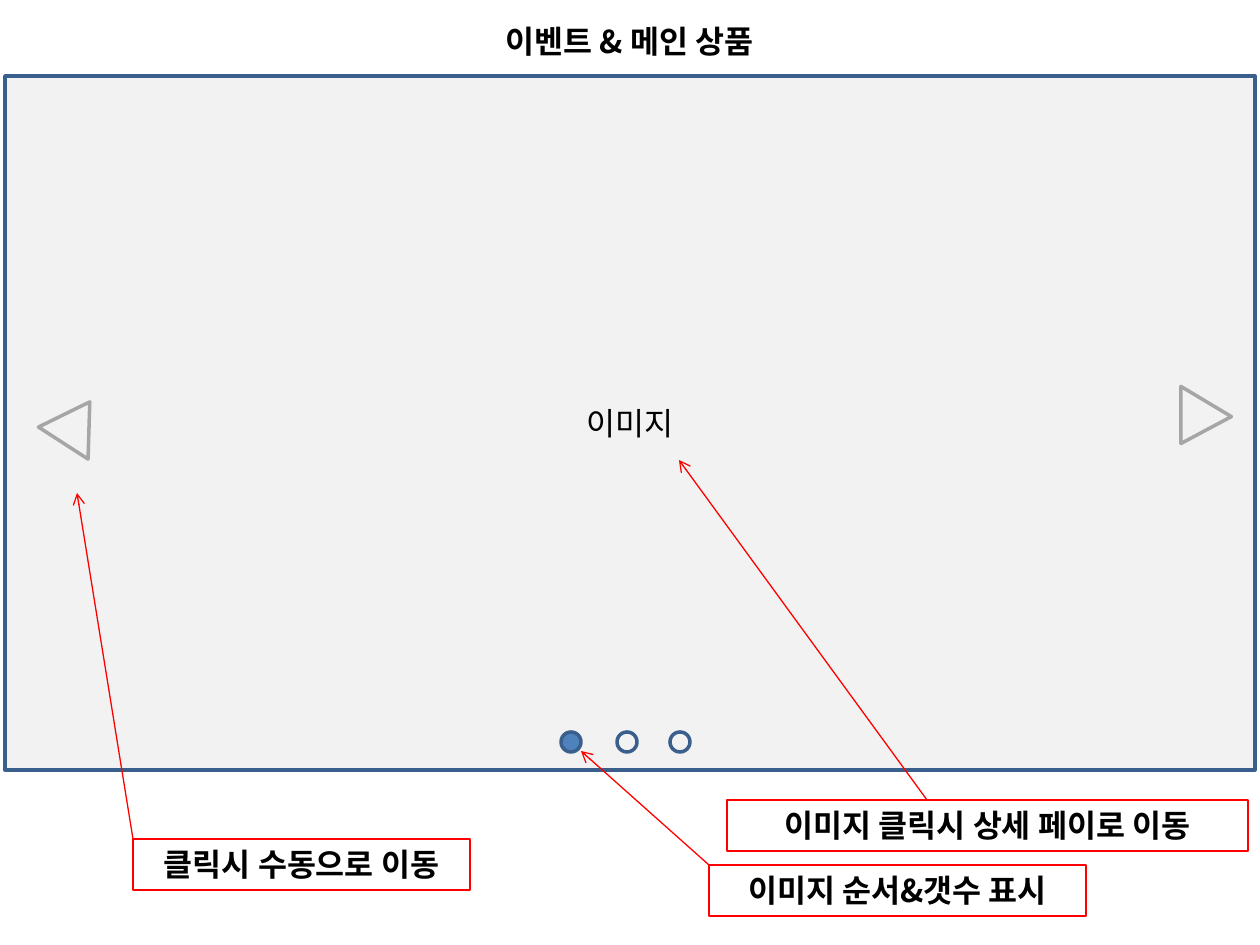
from lxml.etree import SubElement
from pptx import Presentation
from pptx.dml.color import RGBColor
from pptx.enum.shapes import MSO_CONNECTOR, MSO_SHAPE
from pptx.enum.text import MSO_ANCHOR, PP_ALIGN
from pptx.oxml.ns import qn
from pptx.util import Pt

EMU_PER_PX = 914400 / 126
FONT = "Noto Sans CJK KR"
BLACK = RGBColor(0x00, 0x00, 0x00)
LIGHT_GRAY = RGBColor(0xF2, 0xF2, 0xF2)
GRAY = RGBColor(0xA6, 0xA6, 0xA6)
BLUE = RGBColor(0x4F, 0x81, 0xBD)
DARK_BLUE = RGBColor(0x3A, 0x5F, 0x8C)
RED = RGBColor(0xFF, 0x00, 0x00)

# Boxes are left, top, width, height in px.
TITLE = ("이벤트 & 메인 상품", (312, 16, 635, 50))
BANNER = ("이미지", (5, 76, 1250, 694))

DOT_SIZE, DOT_TOP = 20, 732
DOTS = [(561, BLUE), (617, LIGHT_GRAY), (670, LIGHT_GRAY)]  # left, fill

ARROW_TOP, ARROW_WIDTH, ARROW_HEIGHT = 398, 59, 49
SLIDE_ARROWS = [(47, 32.8), (1164, 210.9)]  # left, rotation

# Text, box, pointer start, pointer end
CALLOUTS = [
    ("클릭시 수동으로 이동", (133, 839, 337, 51), (133, 839), (77, 493)),
    ("이미지 순서&갯수 표시", (709, 865, 377, 51), (709, 865), (581, 751)),
    ("이미지 클릭시 상세 페이로 이동", (727, 800, 521, 51), (927, 800), (679, 460)),
]


def px(value):
    return round(value * EMU_PER_PX)


def add_outlined_shape(slide, kind, box, fill, line_color, line_width):
    shape = slide.shapes.add_shape(kind, *map(px, box))
    shape.shadow.inherit = False
    if fill is None:
        shape.fill.background()
    else:
        shape.fill.solid()
        shape.fill.fore_color.rgb = fill
    shape.line.color.rgb = line_color
    shape.line.width = Pt(line_width)
    return shape


def write_text(shape, text, bold=True, anchor=MSO_ANCHOR.TOP):
    frame = shape.text_frame
    frame.word_wrap = True
    frame.vertical_anchor = anchor
    paragraph = frame.paragraphs[0]
    paragraph.alignment = PP_ALIGN.CENTER
    run = paragraph.add_run()
    run.text = text
    run.font.size = Pt(18)
    run.font.bold = bold
    run.font.color.rgb = BLACK
    run.font.name = FONT
    # Korean glyphs take the East Asian typeface.
    SubElement(run.font._element, qn("a:ea"), typeface=FONT)


def add_pointer(slide, start, end):
    connector = slide.shapes.add_connector(
        MSO_CONNECTOR.STRAIGHT, *map(px, start + end))
    connector.line.color.rgb = RED
    connector.line.width = Pt(0.75)
    SubElement(connector.line._get_or_add_ln(), qn("a:tailEnd"), type="arrow")
    SubElement(connector._element.spPr, qn("a:effectLst"))


def main():
    presentation = Presentation()
    presentation.slide_width = px(1260)
    presentation.slide_height = px(945)
    slide = presentation.slides.add_slide(presentation.slide_layouts[6])

    text, box = BANNER
    banner = add_outlined_shape(
        slide, MSO_SHAPE.RECTANGLE, box, LIGHT_GRAY, DARK_BLUE, 2)
    write_text(banner, text, bold=False, anchor=MSO_ANCHOR.MIDDLE)

    text, box = TITLE
    write_text(slide.shapes.add_textbox(*map(px, box)), text)

    for left, fill in DOTS:
        box = (left, DOT_TOP, DOT_SIZE, DOT_SIZE)
        add_outlined_shape(slide, MSO_SHAPE.OVAL, box, fill, DARK_BLUE, 2)

    for left, rotation in SLIDE_ARROWS:
        box = (left, ARROW_TOP, ARROW_WIDTH, ARROW_HEIGHT)
        triangle = add_outlined_shape(
            slide, MSO_SHAPE.ISOSCELES_TRIANGLE, box, LIGHT_GRAY, GRAY, 2)
        triangle.rotation = rotation

    for text, box, start, end in CALLOUTS:
        add_pointer(slide, start, end)
        callout = add_outlined_shape(
            slide, MSO_SHAPE.RECTANGLE, box, None, RED, 0.75)
        write_text(callout, text)

    presentation.save("out.pptx")


if __name__ == "__main__":
    main()
